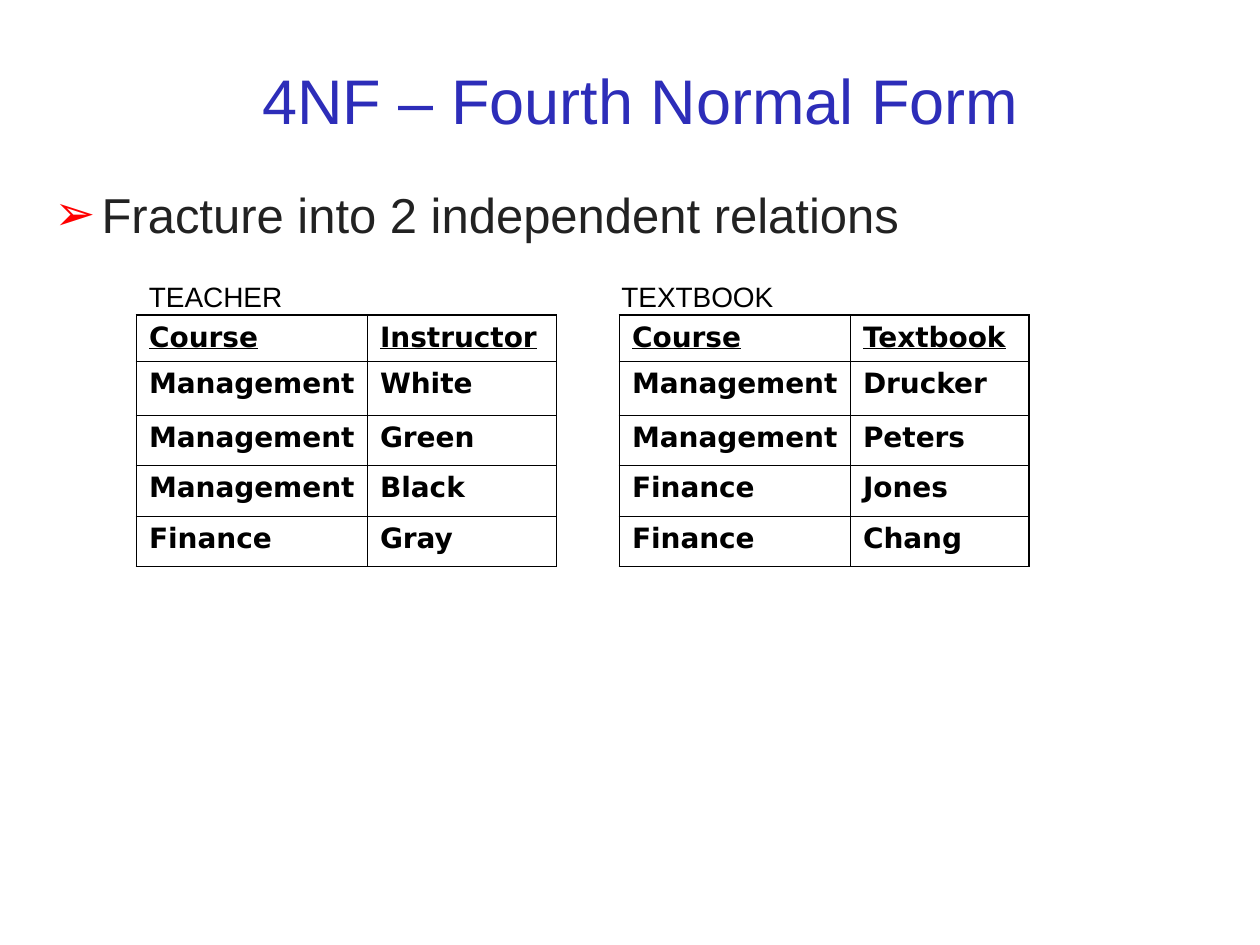
"""Build the fourth normal form slide with its two relations."""
from lxml import etree
from pptx import Presentation
from pptx.dml.color import RGBColor
from pptx.enum.text import MSO_ANCHOR, MSO_AUTO_SIZE, PP_ALIGN
from pptx.oxml.ns import qn
from pptx.util import Inches, Pt

MIDDLE, TOP = MSO_ANCHOR.MIDDLE, MSO_ANCHOR.TOP
CENTER, LEFT = PP_ALIGN.CENTER, PP_ALIGN.LEFT
FIT, NO_FIT = MSO_AUTO_SIZE.SHAPE_TO_FIT_TEXT, MSO_AUTO_SIZE.NONE

TITLE = "4NF – Fourth Normal Form"
BULLET = "Fracture into 2 independent relations"
RELATIONS = [
    {"name": "TEACHER", "col": 13, "widths": (22, 18), "label": (13, 15.5),
     "rows": [("Course", "Instructor"), ("Management", "White"),
              ("Management", "Green"), ("Management", "Black"),
              ("Finance", "Gray")]},
    {"name": "TEXTBOOK", "col": 59, "widths": (22, 17), "label": (58, 17.5),
     "rows": [("Course", "Textbook"), ("Management", "Drucker"),
              ("Management", "Peters"), ("Finance", "Jones"),
              ("Finance", "Chang")]},
]

THEME = {
    "title": {"name": "Arial", "size": 36, "color": "2D2DB9"},
    "body": {"name": "Arial", "size": 28, "color": "222222"},
    "label": {"name": "Arial", "size": 16, "color": "000000"},
    "cell": {"name": "DejaVu Sans", "size": 16, "color": "000000", "bold": True},
    "bullet": "FF0000", "border": "000000", "outer": 1.08, "inner": 0.45,
}
COLS, ROWS = 120, 90
LABEL_ROW, LABEL_HEIGHT, TABLE_ROW = 26, 4.4, 30
ROW_HEIGHTS = (4.4, 5.15, 4.8, 4.8, 4.8)
INDENT = 4.5

prs = Presentation()
prs.slide_width, prs.slide_height = Inches(10), Inches(7.5)
s = prs.slides.add_slide(prs.slide_layouts[6])


def x(n):
    return round(prs.slide_width * n / COLS)


def y(n):
    return round(prs.slide_height * n / ROWS)


def write(p, text, style, **extra):
    r = p.add_run()
    r.text = text
    for key, value in {**THEME[style], **extra}.items():
        if key == "color":
            r.font.color.rgb = RGBColor.from_string(value)
        else:
            setattr(r.font, key, Pt(value) if key == "size" else value)


def add_text(text, style, col, row, width, height, align=LEFT, **frame):
    sp = s.shapes.add_textbox(x(col), y(row), x(width), y(height))
    tf = sp.text_frame
    for key, value in {"word_wrap": True, "auto_size": NO_FIT, **frame}.items():
        setattr(tf, key, value)
    p = tf.paragraphs[0]
    p.alignment = align
    write(p, text, style)
    return p


def add_bullet(p):
    pPr = p._p.get_or_add_pPr()
    pPr.set("marL", str(x(INDENT)))
    pPr.set("indent", str(-x(INDENT)))
    color = etree.SubElement(pPr, qn("a:buClr"))
    etree.SubElement(color, qn("a:srgbClr"), val=THEME["bullet"])
    etree.SubElement(pPr, qn("a:buFont"), typeface="Arial")
    etree.SubElement(pPr, qn("a:buChar"), char="➢")


def add_borders(cell, outer):
    tcPr = cell._tc.get_or_add_tcPr()
    for side in "LRTB":
        weight = THEME["outer" if side in outer else "inner"]
        ln = etree.SubElement(tcPr, qn(f"a:ln{side}"), w=str(Pt(weight)))
        fill = etree.SubElement(ln, qn("a:solidFill"))
        etree.SubElement(fill, qn("a:srgbClr"), val=THEME["border"])


def add_relation(rel):
    rows, widths = rel["rows"], rel["widths"]
    last_row, last_col = len(rows) - 1, len(widths) - 1
    table = s.shapes.add_table(
        len(rows), len(widths), x(rel["col"]), y(TABLE_ROW),
        x(sum(widths)), y(sum(ROW_HEIGHTS))).table
    table.first_row = table.horz_banding = False
    for column, width in zip(table.columns, widths):
        column.width = x(width)
    for i, (row, height) in enumerate(zip(rows, ROW_HEIGHTS)):
        table.rows[i].height = y(height)
        for j, text in enumerate(row):
            cell = table.cell(i, j)
            edges = {"L": j == 0, "R": j == last_col,
                     "T": i == 0, "B": i == last_row}
            add_borders(cell, [side for side, on in edges.items() if on])
            cell.fill.background()
            write(cell.text_frame.paragraphs[0], text, "cell", underline=i == 0)
    col, width = rel["label"]
    add_text(rel["name"], "label", col, LABEL_ROW, width, LABEL_HEIGHT,
             word_wrap=False, auto_size=FIT)


add_text(TITLE, "title", 4, 2, 114, 15, CENTER, vertical_anchor=MIDDLE)
add_bullet(add_text(BULLET, "body", 4, 17, 114, 65, vertical_anchor=TOP))
for relation in RELATIONS:
    add_relation(relation)

prs.save("out.pptx")
